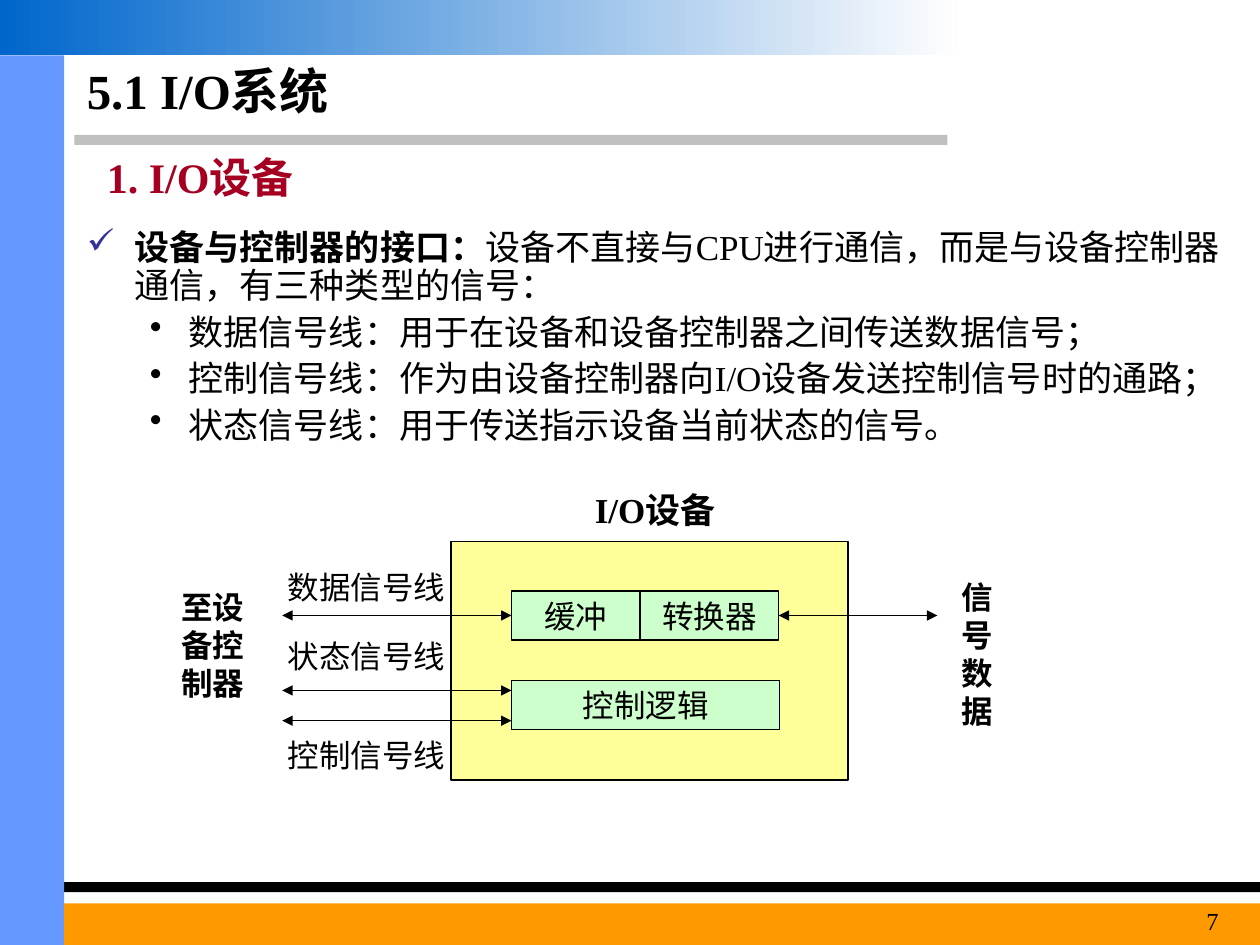
from dataclasses import dataclass

from lxml import etree
from pptx import Presentation
from pptx.dml.color import RGBColor
from pptx.enum.shapes import MSO_CONNECTOR, MSO_SHAPE
from pptx.enum.text import MSO_ANCHOR, PP_ALIGN
from pptx.oxml.ns import qn
from pptx.util import Inches, Pt

RECT = MSO_SHAPE.RECTANGLE
STRAIGHT = MSO_CONNECTOR.STRAIGHT
LEFT, CENTER, RIGHT = PP_ALIGN.LEFT, PP_ALIGN.CENTER, PP_ALIGN.RIGHT
TOP, MIDDLE = MSO_ANCHOR.TOP, MSO_ANCHOR.MIDDLE
LEFT_SIDE, RIGHT_SIDE = 1, 3


@dataclass(frozen=True)
class Theme:
    font: str = "Times New Roman"
    # Colours
    ink: str = "000000"
    red: str = "A50021"
    tick: str = "333399"
    gray: str = "C0C0C0"
    blue: str = "6699FF"
    deep: str = "0066CC"
    pale: str = "FEFEFE"
    orange: str = "FF9900"
    yellow: str = "FFFF99"
    green: str = "CCFFCC"
    # Type sizes and line width
    title: int = 28
    head: int = 24
    body: int = 20
    label: int = 18
    page: int = 14
    thin: float = 0.75


class Deck:
    def __init__(self, theme):
        self.theme = theme
        self.prs = Presentation()
        self.prs.slide_width, self.prs.slide_height = Inches(10), Inches(7.5)
        self.slide = self.prs.slides.add_slide(self.prs.slide_layouts[6])

    def style(self, run, size, color=None, bold=False):
        font = run.font
        font.name, font.size, font.bold = self.theme.font, Pt(size), bold
        font.color.rgb = RGBColor.from_string(color or self.theme.ink)

    def bar(self, x, y, w, h, color):
        """Add a plain rectangle without an outline."""
        shape = self.slide.shapes.add_shape(
            RECT, Inches(x), Inches(y), Inches(w), Inches(h))
        shape.shadow.inherit = False
        shape.fill.solid()
        shape.fill.fore_color.rgb = RGBColor.from_string(color)
        shape.line.fill.background()
        return shape

    def fade(self, x, y, w, h, start, end):
        """Add a bar that fades from left to right."""
        fill = self.bar(x, y, w, h, start).fill
        fill.gradient()
        fill.gradient_angle = 0
        for stop, color in zip(fill.gradient_stops, (start, end)):
            stop.color.rgb = RGBColor.from_string(color)

    def box(self, x, y, w, h, color, text=""):
        """Add an outlined rectangle, with a centred label if given."""
        shape = self.bar(x, y, w, h, color)
        shape.line.color.rgb = RGBColor.from_string(self.theme.ink)
        shape.line.width = Pt(self.theme.thin)
        if text:
            frame = shape.text_frame
            frame.word_wrap = False
            frame.vertical_anchor = MIDDLE
            frame.text = text
            para = frame.paragraphs[0]
            para.alignment = CENTER
            self.style(para.runs[0], self.theme.label)
        return shape

    def frame(self, x, y, w, h):
        frame = self.slide.shapes.add_textbox(
            Inches(x), Inches(y), Inches(w), Inches(h)).text_frame
        frame.word_wrap = True
        return frame

    def text(self, x, y, w, h, text, size, color=None, bold=False,
             align=CENTER, anchor=TOP):
        frame = self.frame(x, y, w, h)
        frame.vertical_anchor = anchor
        frame.text = text
        para = frame.paragraphs[0]
        para.alignment = align
        self.style(para.runs[0], size, color, bold)

    def bullet(self, para, mark, color, margin, hang):
        props = para._p.get_or_add_pPr()
        props.set("marL", str(Inches(margin)))
        props.set("indent", str(-Inches(hang)))
        tint = etree.SubElement(props, qn("a:buClr"))
        etree.SubElement(tint, qn("a:srgbClr"), val=color)
        etree.SubElement(props, qn("a:buChar"), char=mark)

    def points(self, x, y, w, h, lead, rest, items):
        """Add a ticked paragraph with a bold lead, then dotted items."""
        frame = self.frame(x, y, w, h)
        frame.text = "\n".join([lead, *items])
        first, *others = frame.paragraphs
        first.add_run().text = rest
        for para in frame.paragraphs:
            para.line_spacing = 0.9
            for run in para.runs:
                self.style(run, self.theme.body)
        first.runs[0].font.bold = True
        self.bullet(first, "✓", self.theme.tick, 0.38, 0.38)
        for para in others:
            para.level = 1
            para.space_before = Pt(5)
            self.bullet(para, "•", self.theme.ink, 0.81, 0.31)

    def wire(self, start, end, y):
        """Add a level line with an arrowhead at both ends."""
        line = self.slide.shapes.add_connector(
            STRAIGHT, Inches(start), y, Inches(end), y)
        line.line.color.rgb = RGBColor.from_string(self.theme.ink)
        line.line.width = Pt(self.theme.thin)
        for tag in ("a:headEnd", "a:tailEnd"):
            etree.SubElement(line.line._get_or_add_ln(), qn(tag), type="triangle")
        etree.SubElement(line._element.spPr, qn("a:effectLst"))
        return line


def main():
    theme = Theme()
    deck = Deck(theme)

    # Page frame
    deck.bar(0.59, 1.07, 6.93, 0.08, theme.gray)
    deck.bar(0, 7, 10, 0.08, theme.ink)
    deck.bar(0, 0.44, 0.51, 7.06, theme.blue)
    deck.bar(0.51, 7.17, 9.49, 0.33, theme.orange)
    deck.fade(0, 0, 7.6, 0.44, theme.deep, theme.pale)

    # Headings and page number
    deck.text(0.59, 0.44, 6.85, 0.55, "5.1 I/O系统", theme.title,
              bold=True, align=LEFT, anchor=MIDDLE)
    deck.text(0.75, 1.15, 5.67, 0.5, "1. I/O设备", theme.head,
              theme.red, bold=True, align=LEFT)
    deck.text(8.86, 7.14, 0.91, 0.36, "7", theme.page, align=RIGHT)

    # Body
    deck.points(
        0.59, 1.78, 9.21, 1.97,
        "设备与控制器的接口：",
        "设备不直接与CPU进行通信，而是与设备控制器通信，有三种类型的信号：",
        ["数据信号线：用于在设备和设备控制器之间传送数据信号；",
         "控制信号线：作为由设备控制器向I/O设备发送控制信号时的通路；",
         "状态信号线：用于传送指示设备当前状态的信号。"])

    # Device and its parts
    deck.box(3.58, 4.3, 3.15, 1.89, theme.yellow)
    deck.text(4.45, 3.83, 1.5, 0.44, "I/O设备", theme.body, bold=True)
    buffer = deck.box(4.06, 4.69, 1.02, 0.39, theme.green, "缓冲")
    coder = deck.box(5.08, 4.69, 1.1, 0.39, theme.green, "转换器")
    deck.box(4.06, 5.4, 2.13, 0.39, theme.green, "控制逻辑")

    # Both outer ends
    deck.text(7.44, 4.54, 0.63, 1.3, "信号数据", theme.label, bold=True)
    deck.text(1.22, 4.62, 0.94, 1, "至设备控制器", theme.label, bold=True)

    # Signal lines
    row = buffer.top + buffer.height // 2
    deck.wire(6.18, 7.44, row).begin_connect(coder, RIGHT_SIDE)
    deck.wire(2.24, 4.06, row).end_connect(buffer, LEFT_SIDE)
    for y in (5.48, 5.72):
        deck.wire(2.24, 4.06, Inches(y))
    for y, name in ((4.46, "数据信号线"), (5.01, "状态信号线"), (5.79, "控制信号线")):
        deck.text(2.16, y, 1.5, 0.4, name, theme.label)

    deck.prs.save("out.pptx")


if __name__ == "__main__":
    main()
